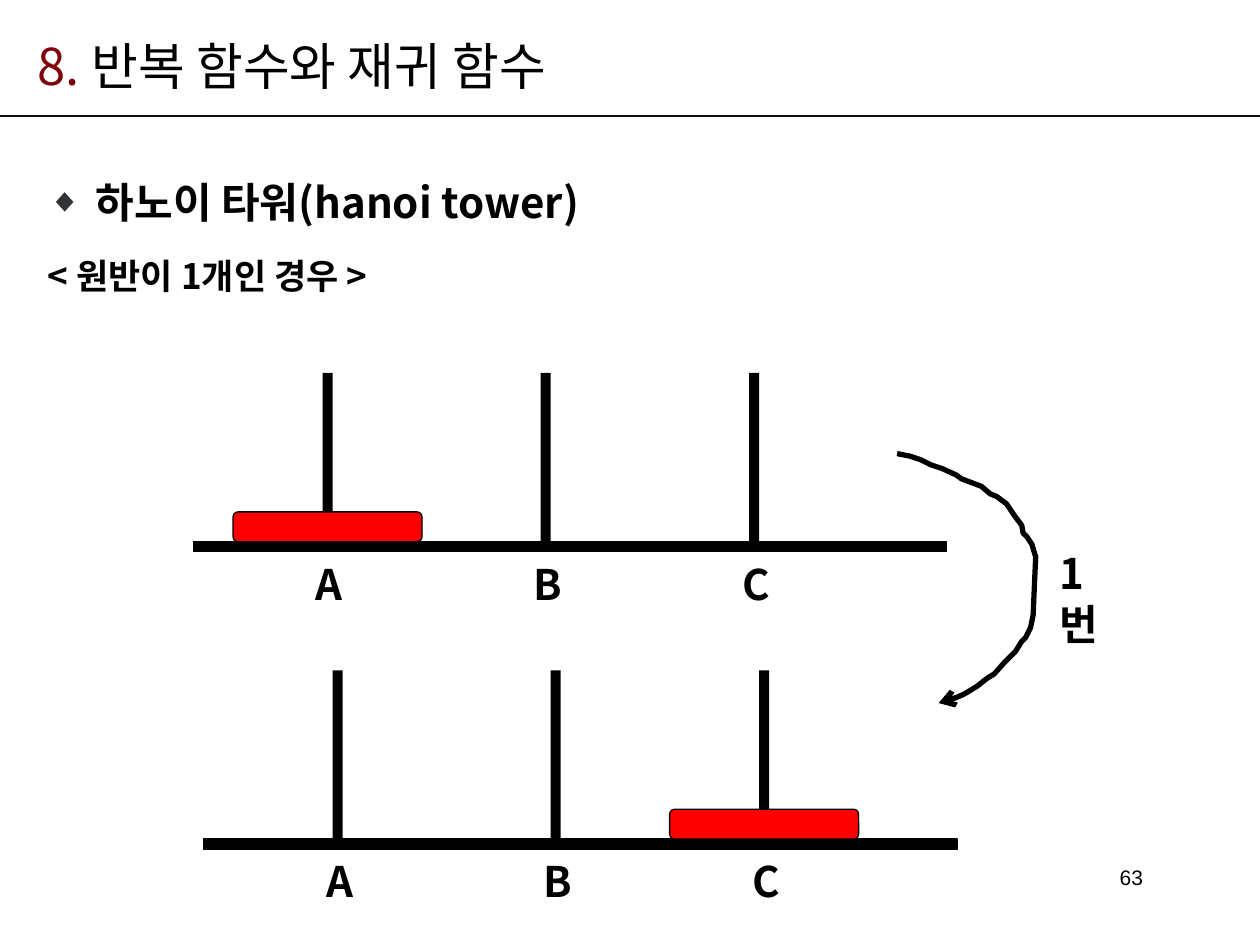
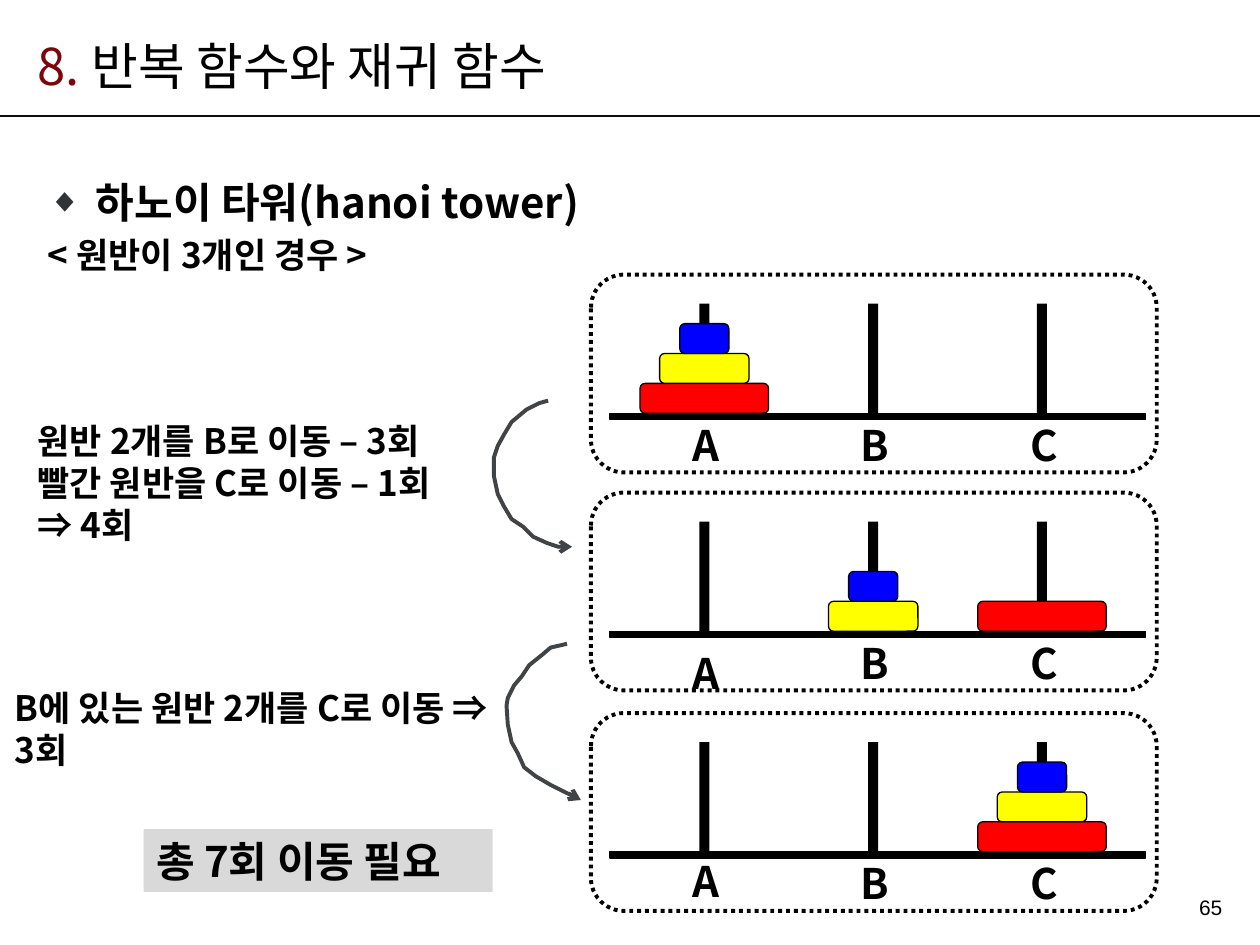
from dataclasses import dataclass

from lxml import etree
from pptx import Presentation
from pptx.dml.color import RGBColor
from pptx.enum.dml import MSO_LINE
from pptx.enum.shapes import MSO_CONNECTOR, MSO_SHAPE
from pptx.enum.text import MSO_ANCHOR, MSO_AUTO_SIZE, PP_ALIGN
from pptx.oxml.ns import qn
from pptx.util import Emu, Inches, Pt

RECTANGLE, ROUNDED = MSO_SHAPE.RECTANGLE, MSO_SHAPE.ROUNDED_RECTANGLE
STRAIGHT, DOTTED = MSO_CONNECTOR.STRAIGHT, MSO_LINE.ROUND_DOT
LEFT, CENTER, RIGHT = PP_ALIGN.LEFT, PP_ALIGN.CENTER, PP_ALIGN.RIGHT
TOP, MIDDLE = MSO_ANCHOR.TOP, MSO_ANCHOR.MIDDLE
NO_FIT = MSO_AUTO_SIZE.NONE

COLORS = {
    "text": "000000",
    "number": "7E040B",
    "rule": "0D0D0D",
    "bullet": "313437",
    "curve": "404447",
    "summary": "D9D9D9",
    "red": "FF0000",
    "yellow": "FFFF00",
    "blue": "0000FF",
}
KOREAN, LATIN = "Noto Sans CJK KR", "Arial"

# The slide is a grid of 100 columns by 75 rows of square cells.
SLIDE_WIDTH, SLIDE_HEIGHT = Inches(10), Inches(7.5)
CELL = SLIDE_WIDTH / 100
COLUMNS, ROWS = 100, 75
PEG_WIDTH, DISK_HEIGHT = 0.8, 2.37
LABEL_WIDTH, LABEL_HEIGHT = 4.4, 5


@dataclass(frozen=True)
class Box:
    left: float
    top: float
    width: float
    height: float

    def emu(self) -> tuple:
        return tuple(cells(n) for n in (self.left, self.top, self.width, self.height))


@dataclass(frozen=True)
class TowerStyle:
    base_width: float
    base_height: float
    peg_height: float
    peg_offsets: tuple
    disk_widths: dict
    framed: bool


@dataclass(frozen=True)
class Tower:
    left: float
    top: float
    stacks: tuple  # disk colours on each peg, lowest first
    label_drops: tuple  # distance from the base to each label


@dataclass(frozen=True)
class Curve:
    points: tuple
    color: str
    width: float


SINGLE = TowerStyle(59.8, 0.8, 13.4, (10.65, 27.95, 44.5), {"red": 15}, False)
TRIPLE = TowerStyle(42.5, 0.5, 8.7, (7.5, 20.9, 34.3),
                    {"red": 10.2, "yellow": 7.1, "blue": 3.9}, True)

SINGLE_TOWERS = (
    Tower(15.35, 43, (("red",), (), ()), (0.8, 0.8, 0.8)),
    Tower(16.15, 66.6, ((), (), ("red",)), (0.8, 0.8, 0.8)),
)
FULL_STACK = ("red", "yellow", "blue")
TRIPLE_TOWERS = (
    Tower(48.4, 32.8, (FULL_STACK, (), ()), (0, 0, 0)),
    Tower(48.4, 50.1, ((), ("yellow", "blue"), ("red",)), (0.8, 0, 0)),
    Tower(48.4, 67.6, ((), (), FULL_STACK), (-0.2, 0, 0)),
)

SINGLE_MOVE = Curve((
    (71.2, 36), (72.2, 36.2), (73.1, 36.5), (73.9, 36.9), (74.8, 37.2),
    (75.9, 37.7), (76.3, 38), (77.9, 38.6), (78.6, 39.2), (79.1, 39.4),
    (79.9, 40), (80.5, 40.9), (81.1, 41.7), (81.2, 42.3), (81.5, 42.6),
    (81.9, 43.2), (82.2, 44.2), (82.1, 46.5), (82, 48.8), (81.8, 49.8),
    (81.4, 50.6), (81.1, 50.9), (80.6, 51.7), (79.7, 52.6), (78.9, 53.5),
    (78.4, 53.8), (77.5, 54.5), (76.5, 55.1), (75.1, 55.7), (74.5, 55.8),
), "text", 3)
FIRST_MOVE = Curve((
    (43.5, 31.8), (42.8, 32), (41.8, 32.5), (40.6, 33.5), (40, 34.5),
    (39.5, 35.4), (39.2, 36.3), (39.2, 37.8), (39.5, 39.2), (40, 40.2),
    (40.6, 41.2), (41.5, 41.8), (42.3, 42.6), (43.4, 43.1), (44.3, 43.4),
    (45.4, 43.4),
), "curve", 2.25)
SECOND_MOVE = Curve((
    (45, 51.1), (43.7, 51.4), (43, 52), (42, 52.8), (41.4, 53.7),
    (40.8, 54.4), (40.3, 55.4), (40.2, 56), (40.3, 57.5), (40.6, 58.9),
    (41.1, 59.8), (41.6, 60.9), (42.5, 61.6), (43.7, 62.3), (45.1, 63),
    (45.6, 63.1), (46.1, 63.5),
), "curve", 2.25)


def cells(count: float) -> Emu:
    return Emu(round(count * CELL))


def rgb(name: str) -> RGBColor:
    return RGBColor.from_string(COLORS[name])


def write(paragraph, text: str, *, size: float = 24, color: str = "text",
          bold: bool = True, font: str = KOREAN, align=LEFT,
          leading: float = 1.2, before: float = 0) -> None:
    """Append a run; leading is the line height as a multiple of the size."""
    paragraph.alignment = align
    paragraph.line_spacing = Pt(round(size * leading, 1))
    paragraph.space_before = Pt(before)
    run = paragraph.add_run()
    run.text = text
    run.font.size, run.font.bold, run.font.name = Pt(size), bold, font
    run.font.color.rgb = rgb(color)
    etree.SubElement(run.font._element, qn("a:ea"), typeface=font)


def prepare_frame(shape, anchor=TOP, wrap: bool = True):
    frame = shape.text_frame
    frame.auto_size = NO_FIT
    frame.word_wrap = wrap
    frame.vertical_anchor = anchor
    return frame


def add_text(slide, box: Box, *lines: str, anchor=TOP, wrap: bool = True,
             fill: str = "", **text_format) -> None:
    shape = slide.shapes.add_textbox(*box.emu())
    if fill:
        shape.fill.solid()
        shape.fill.fore_color.rgb = rgb(fill)
    frame = prepare_frame(shape, anchor, wrap)
    for index, line in enumerate(lines):
        paragraph = frame.add_paragraph() if index else frame.paragraphs[0]
        write(paragraph, line, **text_format)


def add_block(slide, kind, box: Box, *, fill: str = "", line: float = 0, dash=None) -> None:
    shape = slide.shapes.add_shape(kind, *box.emu())
    shape.shadow.inherit = False
    if fill:
        shape.fill.solid()
        shape.fill.fore_color.rgb = rgb(fill)
    else:
        shape.fill.background()
    if not line:
        shape.line.fill.background()
        return
    shape.line.color.rgb = rgb("text")
    shape.line.width = Pt(line)
    if dash:
        shape.line.dash_style = dash


def add_curve(slide, curve: Curve) -> None:
    points = [(cells(x), cells(y)) for x, y in curve.points]
    builder = slide.shapes.build_freeform(*points[0], scale=1.0)
    builder.add_line_segments(points[1:], close=False)
    shape = builder.convert_to_shape()
    shape.shadow.inherit = False
    shape.fill.background()
    shape.line.color.rgb = rgb(curve.color)
    shape.line.width = Pt(curve.width)
    etree.SubElement(shape.line._get_or_add_ln(), qn("a:tailEnd"), type="arrow")


def add_tower(slide, tower: Tower, style: TowerStyle) -> None:
    base = Box(tower.left, tower.top, style.base_width, style.base_height)
    add_block(slide, RECTANGLE, base, fill="text", line=0.75)
    pegs = zip("ABC", style.peg_offsets, tower.stacks, tower.label_drops)
    for name, offset, stack, drop in pegs:
        center = tower.left + offset
        peg = Box(center - PEG_WIDTH / 2, tower.top - style.peg_height,
                  PEG_WIDTH, style.peg_height)
        add_block(slide, RECTANGLE, peg, fill="text")
        for level, color in enumerate(stack, start=1):
            width = style.disk_widths[color]
            disk = Box(center - width / 2, tower.top - level * DISK_HEIGHT,
                       width, DISK_HEIGHT)
            add_block(slide, ROUNDED, disk, fill=color, line=0.75)
        label = Box(center + 0.15 - LABEL_WIDTH / 2, tower.top + drop,
                    LABEL_WIDTH, LABEL_HEIGHT)
        add_text(slide, label, name, align=CENTER, wrap=False)
    if style.framed:
        frame = Box(tower.left - 1.5, tower.top - 11, style.base_width + 2.4, 15.7)
        add_block(slide, ROUNDED, frame, line=2.25, dash=DOTTED)


def place(shape, box: Box) -> None:
    shape.left, shape.top, shape.width, shape.height = box.emu()


def set_bullet(paragraph, character: str = "") -> None:
    """Give the paragraph a hanging bullet, or none for an empty character."""
    properties = paragraph._p.get_or_add_pPr()
    indent = cells(3.8) if character else 0
    properties.set("marL", str(indent))
    properties.set("indent", str(-indent))
    if not character:
        etree.SubElement(properties, qn("a:buNone"))
        return
    color = etree.SubElement(properties, qn("a:buClr"))
    etree.SubElement(color, qn("a:srgbClr"), val=COLORS["bullet"])
    etree.SubElement(properties, qn("a:buSzPct"), val="80000")
    etree.SubElement(properties, qn("a:buChar"), char=character)


def add_lesson_slide(presentation, case: str, case_leading: float,
                     number: str, number_box: Box):
    """Add a slide with the shared title, rule, topic and page number."""
    slide = presentation.slides.add_slide(presentation.slide_layouts[1])
    rule = slide.shapes.add_connector(STRAIGHT, 0, cells(9.2), cells(COLUMNS), cells(9.2))
    rule.line.color.rgb = rgb("rule")
    rule.line.width = Pt(1.5)
    etree.SubElement(rule._element.spPr, qn("a:effectLst"))

    title = slide.shapes.title
    place(title, Box(2, 2.1, 84.3, 6.1))
    heading = prepare_frame(title, MIDDLE).paragraphs[0]
    write(heading, "8. ", size=29, color="number", bold=False)
    write(heading, "반복 함수와 재귀 함수", size=29, bold=False)

    body = slide.placeholders[1]
    place(body, Box(2.8, 11.5, 95.3, 53.5))
    frame = prepare_frame(body)
    topic = frame.paragraphs[0]
    set_bullet(topic, "◆")
    write(topic, "하노이 타워(hanoi tower)", leading=1.8)
    subtopic = frame.add_paragraph()
    set_bullet(subtopic)
    write(subtopic, case, size=20, leading=case_leading, before=4)

    add_text(slide, number_box, number, anchor=MIDDLE, size=12, bold=False,
             font=LATIN, align=RIGHT)
    return slide


def build_single_disk_slide(presentation) -> None:
    slide = add_lesson_slide(presentation, "< 원반이 1개인 경우 >", 1.8,
                             "63", Box(68.9, 68.2, 22.8, 2.8))
    for tower in SINGLE_TOWERS:
        add_tower(slide, tower, SINGLE)
    add_curve(slide, SINGLE_MOVE)
    add_text(slide, Box(83.1, 43, 6, 9), "1번")


def build_three_disk_slide(presentation) -> None:
    slide = add_lesson_slide(presentation, "< 원반이 3개인 경우 >", 1.2,
                             "65", Box(75.2, 70.6, 22.8, 2.8))
    for tower in TRIPLE_TOWERS:
        add_tower(slide, tower, TRIPLE)
    add_curve(slide, FIRST_MOVE)
    add_text(slide, Box(2, 32.8, 39, 11.1), "원반 2개를 B로 이동 – 3회",
             "빨간 원반을 C로 이동 – 1회", "⇒ 4회", size=20)
    add_curve(slide, SECOND_MOVE)
    add_text(slide, Box(0.2, 54, 41.1, 7.7), "B에 있는 원반 2개를 C로 이동 ⇒ 3회", size=20)
    add_text(slide, Box(11.4, 65.8, 27.7, 5), "총 7회 이동 필요", fill="summary")


def main() -> None:
    presentation = Presentation()
    presentation.slide_width, presentation.slide_height = SLIDE_WIDTH, cells(ROWS)
    build_single_disk_slide(presentation)
    build_three_disk_slide(presentation)
    presentation.save("out.pptx")


if __name__ == "__main__":
    main()
